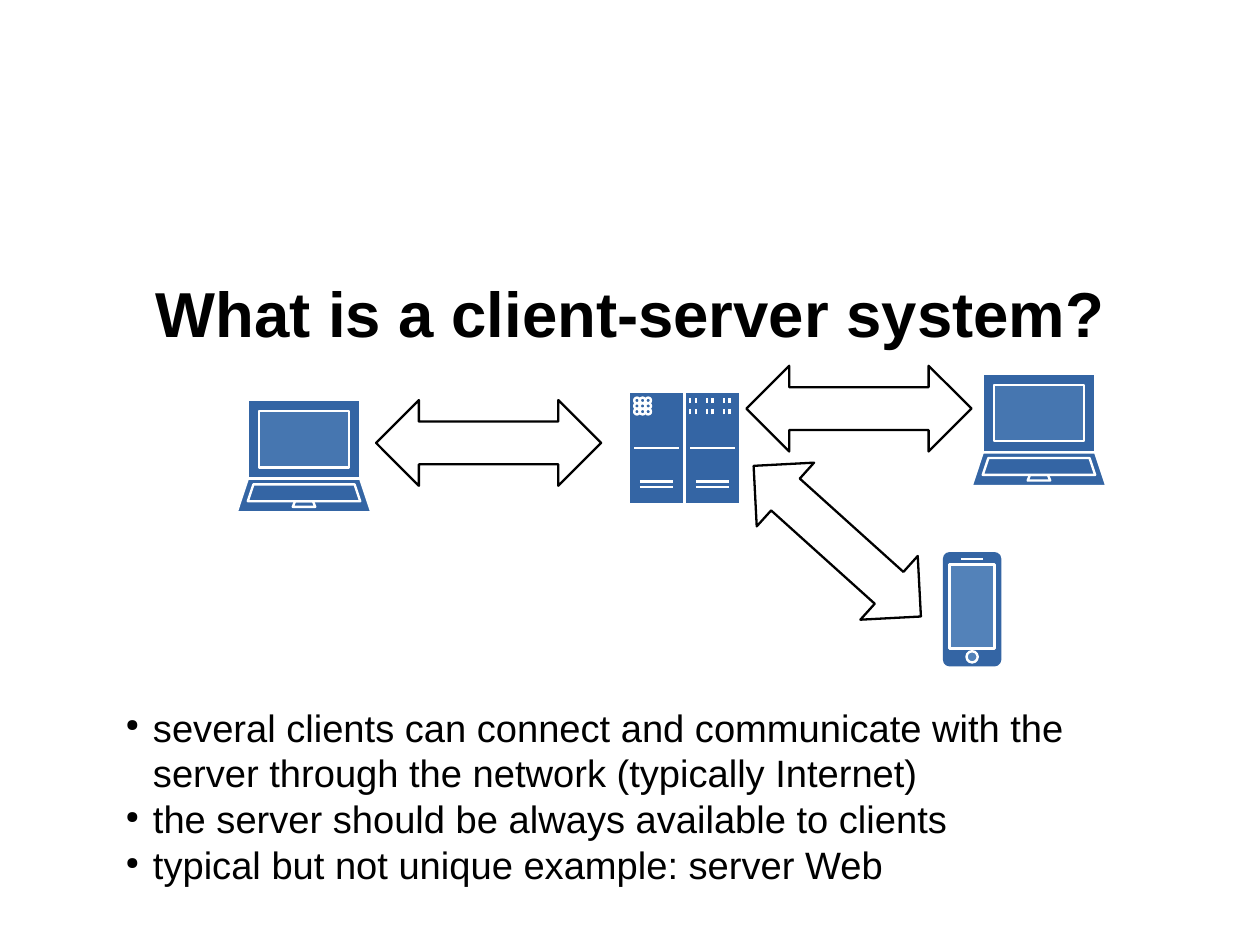
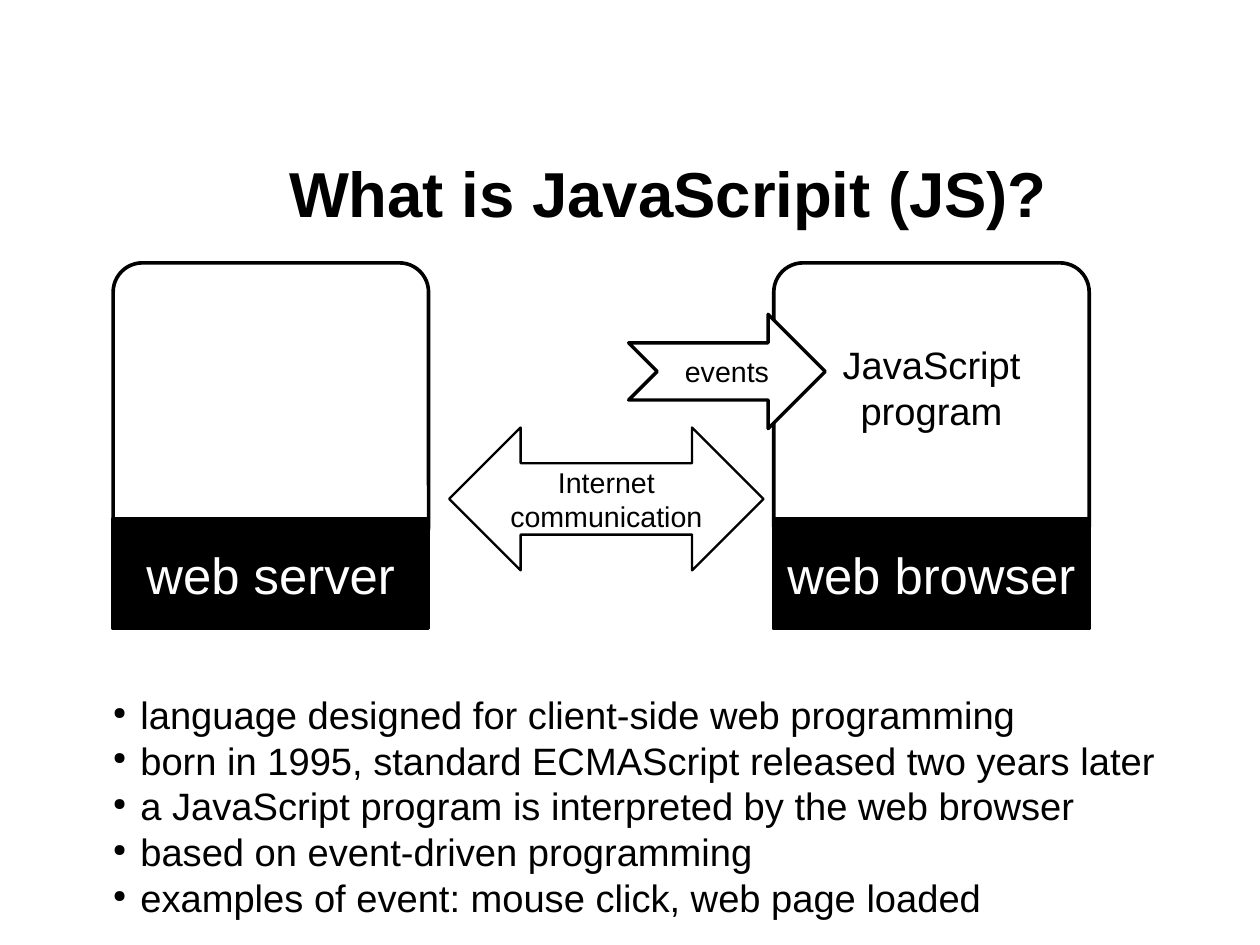
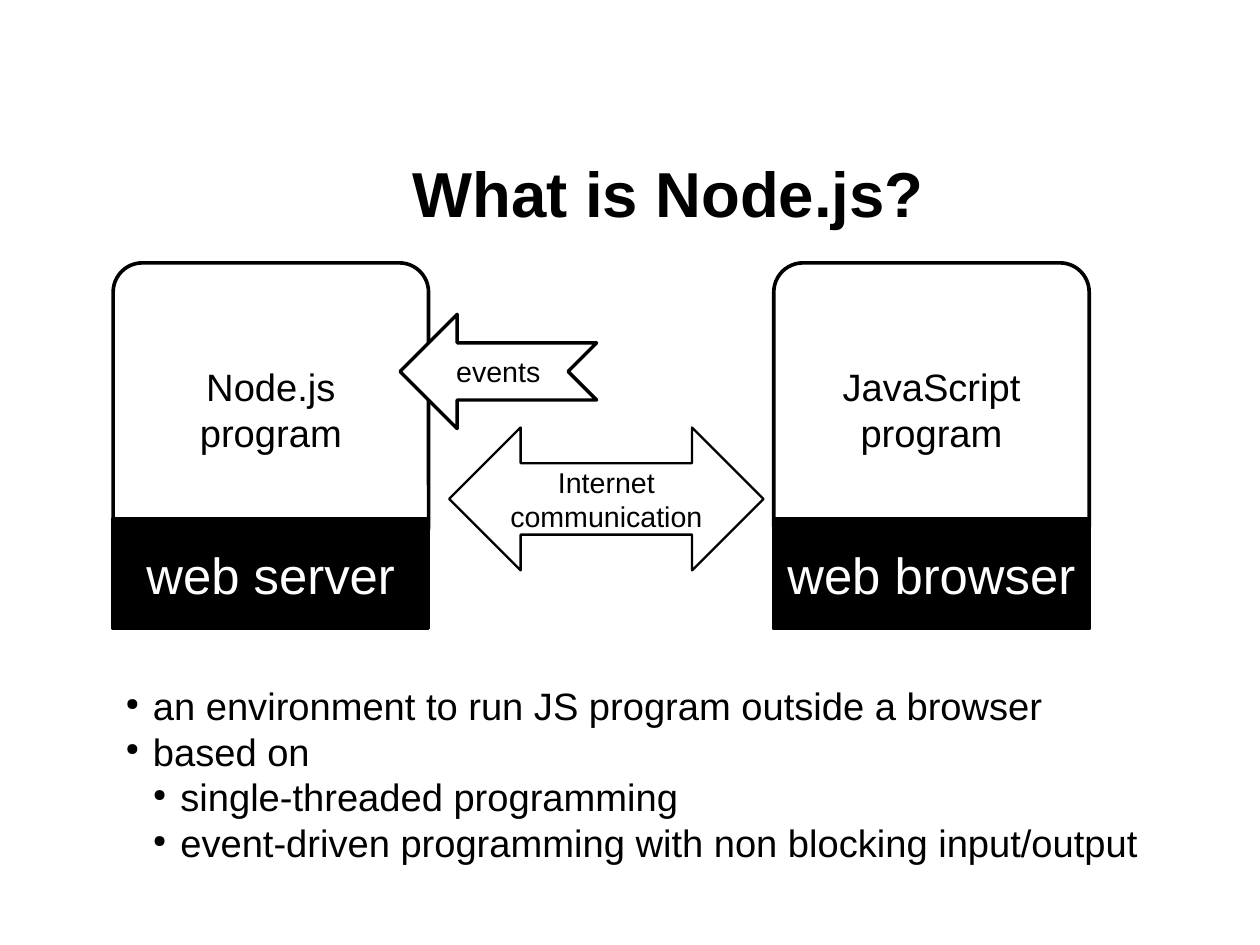
from dataclasses import dataclass

from lxml import etree
from pptx import Presentation
from pptx.dml import color as col
from pptx.enum import shapes as sh, text as tx
from pptx.oxml import ns
from pptx.util import Cm, Inches, Pt


@dataclass(frozen=True)
class Theme:
    font: str = "Arial"
    mark: str = "OpenSymbol"
    black: str = "000000"
    white: str = "FFFFFF"
    blue: str = "3465A4"
    glass: str = "729FCF"
    title: int = 40
    label: int = 32
    body: int = 24
    small: int = 18
    thin: float = 1.45
    icon: float = 1.5
    bold: float = 2.15
    frame: float = 2.3


T = Theme()
Kind = sh.MSO_SHAPE
Anchor = tx.MSO_ANCHOR
Align = tx.PP_ALIGN
STEP = 0.24


def rgb(code):
    return col.RGBColor.from_string(code)


def child(node, tag, **attrs):
    return etree.SubElement(node, ns.qn(tag), attrs)


def bullet(par, level):
    props = par._p.get_or_add_pPr()
    props.set("marL", str(Inches(STEP * (level + 1))))
    props.set("indent", str(-Inches(STEP)))
    child(child(props, "a:buClr"), "a:srgbClr", val=T.black)
    child(props, "a:buSzPct", val="45000")
    child(props, "a:buFont", typeface=T.mark)
    child(props, "a:buChar", char="●")


def write(shape, lines, size=T.body, color=T.black, bold=False, align=Align.CENTER,
          anchor=Anchor.MIDDLE, inset=(0.11, 0.06, 0.11, 0.06), space=None, bullets=False):
    """Fill a shape with lines; a line is a string or a (string, level) pair."""
    frame = shape.text_frame
    frame.word_wrap = True
    frame.auto_size = tx.MSO_AUTO_SIZE.NONE
    frame.vertical_anchor = anchor
    (frame.margin_left, frame.margin_top,
     frame.margin_right, frame.margin_bottom) = map(Inches, inset)
    for i, line in enumerate(lines):
        words, level = line if isinstance(line, tuple) else (line, 0)
        par = frame.add_paragraph() if i else frame.paragraphs[0]
        par.level = level
        par.alignment = align
        if space:
            par.line_spacing = space
        if bullets:
            bullet(par, level)
        run = par.add_run()
        run.text = words
        font = run.font
        font.name, font.size, font.bold = T.font, Pt(size), bold
        font.color.rgb = rgb(color)


def paint(shape, fill, line, width, alpha=None):
    shape.shadow.inherit = False
    shape.fill.solid()
    shape.fill.fore_color.rgb = rgb(fill)
    if alpha:
        tint = shape.element.spPr.find(ns.qn("a:solidFill"))[0]
        child(tint, "a:alpha", val=str(alpha * 1000))
    shape.line.color.rgb = rgb(line)
    shape.line.width = Pt(width)
    return shape


def block(slide, kind, box, fill=T.white, width=T.thin, adj=()):
    shape = slide.shapes.add_shape(kind, *map(Inches, box))
    for i, value in enumerate(adj):
        shape.adjustments[i] = value
    return paint(shape, fill, T.black, width)


class Icon:
    """A group drawn on a square grid of the given pitch."""

    def __init__(self, slide, x, y, unit):
        self.shapes = slide.shapes.add_group_shape().shapes
        self.x, self.y, self.unit = x, y, unit

    def at(self, x, y):
        return Inches(self.x + x * self.unit), Inches(self.y + y * self.unit)

    def add(self, x, y, w, h, kind=Kind.RECTANGLE, fill=T.blue, line=T.white, alpha=None):
        size = Inches(w * self.unit), Inches(h * self.unit)
        shape = self.shapes.add_shape(kind, *self.at(x, y), *size)
        return paint(shape, fill, line, T.icon, alpha)

    def rule(self, x1, y1, x2, y2):
        line = self.shapes.add_connector(
            sh.MSO_CONNECTOR.STRAIGHT, *self.at(x1, y1), *self.at(x2, y2))
        line.line.color.rgb = rgb(T.white)
        line.line.width = Pt(T.icon)
        child(line.element.spPr, "a:effectLst")

    def outline(self, *points):
        start, *rest = [self.at(*point) for point in points]
        pen = self.shapes.build_freeform(*start)
        pen.add_line_segments(rest, close=True)
        paint(pen.convert_to_shape(), T.blue, T.white, T.icon)


def laptop(slide, x, y, w):
    icon = Icon(slide, x, y, w / 24)
    icon.add(2, 0, 20, 14)
    icon.add(4, 2, 16, 10, fill=T.glass, alpha=30)
    icon.outline((0, 20), (24, 20), (22, 14), (2, 14))
    icon.outline((10, 19), (14, 19), (13.6, 18), (10.4, 18))
    icon.outline((2, 18), (22, 18), (21, 15), (3, 15))


def server(slide, x, y, w):
    icon = Icon(slide, x, y, w / 20)
    for left in (0, 10):
        icon.add(left, 0, 10, 20)
        icon.rule(left + 1, 10, left + 9, 10)
        for row in (17, 16):
            icon.rule(left + 2, row, left + 8, row)
    for row in (1, 2, 3):
        for dot in (1, 2, 3):
            icon.add(dot, row, 1, 1, Kind.OVAL)
    for slit in (11, 12, 14, 15, 17, 18):
        for top in (1, 3):
            icon.rule(slit, top + 1, slit, top)


def phone(slide, x, y, w):
    icon = Icon(slide, x, y, w / 10)
    case = icon.add(0, 0, 10, 20, Kind.ROUNDED_RECTANGLE, line=T.blue)
    case.adjustments[0] = 0.1
    icon.add(1, 2, 8, 15, fill=T.glass, alpha=51)
    icon.rule(3, 1, 7, 1)
    icon.add(4, 17.5, 2, 2, Kind.OVAL, fill=T.glass, alpha=51)


def link(slide, box, turn=0, lines=()):
    arrow = block(slide, Kind.LEFT_RIGHT_ARROW, box, adj=(0.5, 0.5))
    arrow.rotation = turn
    write(arrow, lines, size=T.small, inset=(0.1, 0.05, 0.1, 0.05))


def events(slide, x, y, flip=False):
    arrow = block(slide, Kind.NOTCHED_RIGHT_ARROW, (x, y, 1.72, 1),
                  width=T.bold, adj=(0.5, 0.5))
    if flip:
        arrow.element.spPr.xfrm.set("flipH", "1")
    write(arrow, ["events"], size=T.small)


def host(slide, x, y, name, lines=(), lift=0):
    """A rounded frame over a black name plate; lift raises the inner text."""
    case = block(slide, Kind.ROUNDED_RECTANGLE, (x, y, 2.76, 2.56),
                 width=T.frame, adj=(0.1,))
    write(case, lines, inset=(0.11, 0.06, 0.11, 0.06 + 2 * lift))
    plate = block(slide, Kind.RECTANGLE, (x, y + 2.24, 2.76, 0.96), T.black, T.frame)
    write(plate, [name], size=T.label, color=T.white)


def web(slide, x, y, inner, outer, lift=0):
    """Server and browser joined by the network arrow."""
    host(slide, x + 5.78, y, "web browser", outer, lift)
    host(slide, x, y, "web server", inner)
    link(slide, (x + 2.94, y + 1.44, 2.75, 1.25), lines=["Internet", "communication"])


def page(deck, title, lines, head, body):
    """A slide with its title in box head and its bullets in box body."""
    slide = deck.slides.add_slide(deck.slide_layouts[5])
    name = slide.shapes.title
    name.left, name.top, name.width, name.height = map(Inches, head)
    write(name, [title], size=T.title, bold=True, inset=(0, 0.04, 0, 0), space=0.93)
    points = slide.shapes.add_textbox(*map(Inches, body))
    write(points, lines, align=Align.LEFT, anchor=Anchor.TOP,
          inset=(0.1, 0.05, 0.1, 0.05), bullets=True)
    return slide


def main():
    deck = Presentation()
    deck.slide_width = Cm(28)
    deck.slide_height = Cm(21)
    head = (1.26, 1.39, 9.17, 0.62)

    slide = page(deck, "What is a client-server system?", [
        "several clients can connect and communicate with the server "
        "through the network (typically Internet)",
        "the server should be always available to clients",
        "typical but not unique example: server Web",
    ], (0.43, 2.44, 10.16, 0.62), (1, 6.11, 9.36, 1.59))
    server(slide, 5.5, 3.43, 0.98)
    phone(slide, 8.26, 4.84, 0.49)
    laptop(slide, 2.07, 3.5, 1.18)
    laptop(slide, 8.5, 3.27, 1.18)
    for x, y, turn in ((3.29, 3.5, 0), (6.34, 4.36, 42), (6.53, 3.2, 0)):
        link(slide, (x, y, 1.97, 0.75), turn)

    slide = page(deck, "What is JavaScripit (JS)?", [
        "language designed for client-side web programming",
        "born in 1995, standard ECMAScript released two years later",
        "a JavaScript program is interpreted by the web browser",
        "based on event-driven programming",
        "examples of event: mouse click, web page loaded",
    ], head, (0.89, 6, 9.7, 1.96))
    web(slide, 0.99, 2.3, [], ["JavaScript program"], lift=0.19)
    events(slide, 5.5, 2.75)

    slide = page(deck, "What is Node.js?", [
        "an environment to run JS program outside a browser",
        "based on",
        ("single-threaded programming", 1),
        ("event-driven programming with non blocking input/output", 1),
    ], head, (1, 5.92, 9.7, 1.83))
    web(slide, 0.99, 2.3, ["Node.js", "program"], ["JavaScript", "program"])
    events(slide, 3.5, 2.75, flip=True)

    deck.save("out.pptx")


if __name__ == "__main__":
    main()
